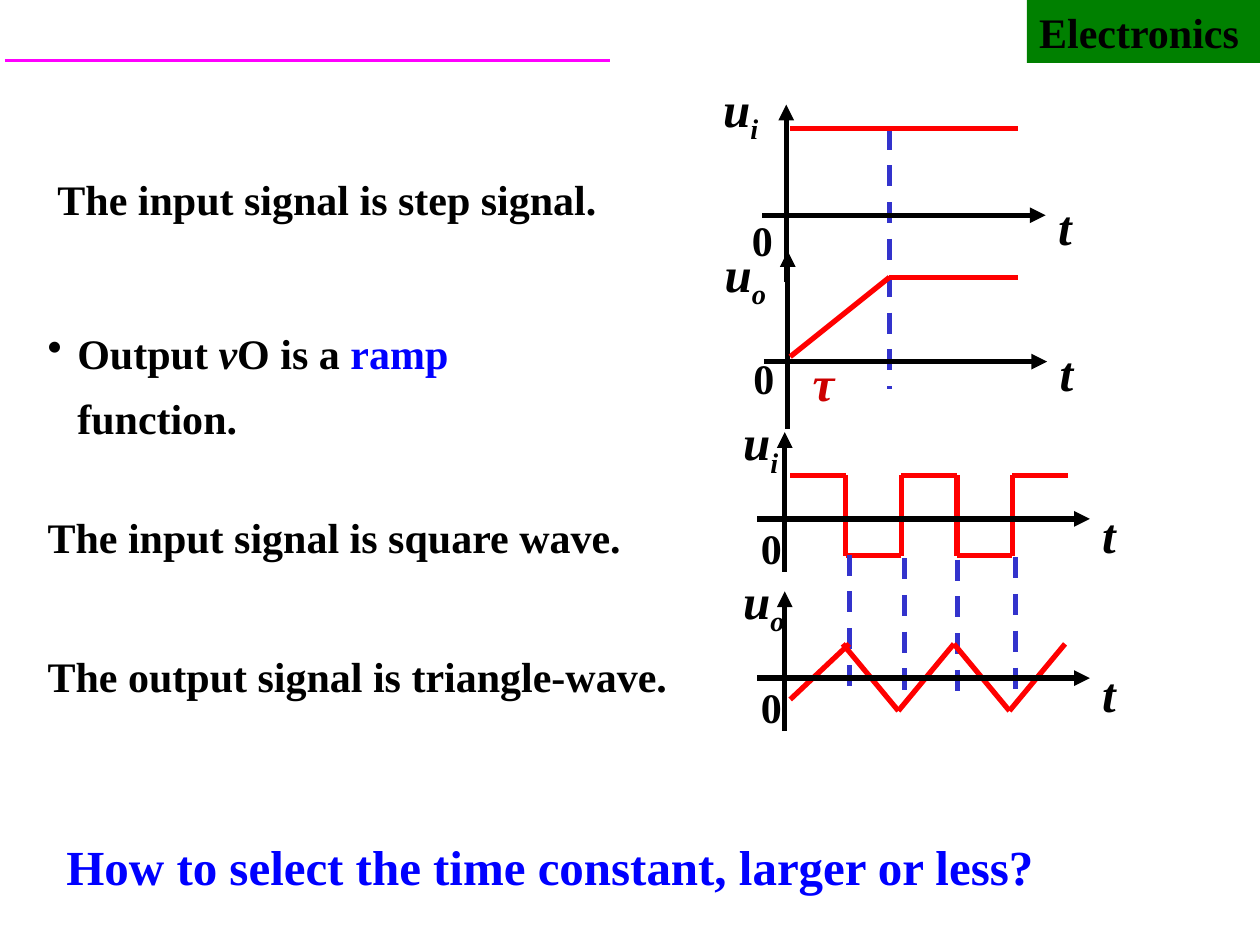
from lxml import etree
from pptx import Presentation
from pptx import util as u
from pptx.dml.color import RGBColor
from pptx.enum import dml, shapes, text
from pptx.oxml.ns import qn

BLACK = RGBColor(0x00, 0x00, 0x00)
GREEN = RGBColor(0x00, 0x80, 0x00)
MAGENTA = RGBColor(0xFF, 0x00, 0xFF)
RED = RGBColor(0xFF, 0x00, 0x00)
DARK_RED = RGBColor(0xCC, 0x00, 0x00)
BLUE = RGBColor(0x00, 0x00, 0xFF)
GUIDE_BLUE = RGBColor(0x33, 0x33, 0xCC)
FONT = "Times New Roman"

# Distances from the origin of a plot, in cm
STEP_AXES = dict(left=0.48, right=5.23, up=2.23, down=1.35,
                 t_rise=0.51, quantity_left=1.52, zero_left=0.94)
WAVE_AXES = dict(left=0.55, right=6.15, up=1.75, down=1.07,
                 t_rise=0.41, quantity_left=1.09, zero_left=0.73)


def add_span(para, words, size=24, color=BLACK, italic=False, subscript=False):
    span = para.add_run()
    span.text = words
    span.font.name = FONT
    span.font.size = u.Pt(size)
    span.font.bold = True
    span.font.italic = italic
    span.font.color.rgb = color
    if subscript:
        span.font._element.set("baseline", "-25000")


def add_text(parent, left, top, width, height, words, **style):
    """Add a text box and return its paragraph, so that spans can follow."""
    box = parent.add_textbox(u.Cm(left), u.Cm(top), u.Cm(width), u.Cm(height))
    box.text_frame.word_wrap = True
    para = box.text_frame.paragraphs[0]
    add_span(para, words, **style)
    return para


def add_line(parent, start, end, color, weight=3, dashed=False, arrow=False):
    line = parent.add_connector(shapes.MSO_CONNECTOR.STRAIGHT,
                                *(u.Cm(value) for value in (*start, *end)))
    line.line.color.rgb = color
    line.line.width = u.Pt(weight)
    if dashed:
        line.line.dash_style = dml.MSO_LINE.DASH
    if arrow:
        etree.SubElement(line.line._get_or_add_ln(), qn("a:tailEnd"), type="triangle")
    etree.SubElement(line._element.spPr, qn("a:effectLst"))


def add_trace(parent, points):
    for start, end in zip(points, points[1:]):
        add_line(parent, start, end, RED)


def add_axes(parent, x, y, layout, subscript, quantity_top, zero_top):
    """Draw both arrows through the origin (x, y) and label them u, t and 0."""
    right = x + layout["right"]
    add_line(parent, (x, y + layout["down"]), (x, y - layout["up"]), BLACK, arrow=True)
    add_line(parent, (x - layout["left"], y), (right, y), BLACK, arrow=True)
    add_text(parent, right, y - layout["t_rise"], 0.94, 1.45, "t", size=28, italic=True)
    quantity = add_text(parent, x - layout["quantity_left"], quantity_top, 1.8, 1.6,
                        "u", size=28, italic=True)
    add_span(quantity, subscript, size=28, italic=True, subscript=True)
    add_text(parent, x - layout["zero_left"], zero_top, 0.94, 1.27, "0")


def add_step_plots(page):
    add_line(page.shapes, (17.93, 2.59), (17.93, 7.85), GUIDE_BLUE, dashed=True)
    step = page.shapes.add_group_shape().shapes
    add_axes(step, 15.85, 4.34, STEP_AXES, "i", 1.45, 4.19)
    add_trace(step, [(15.93, 2.59), (20.52, 2.59)])

    ramp = page.shapes.add_group_shape().shapes
    add_axes(ramp, 15.88, 7.29, STEP_AXES, "o", 4.78, 6.99)
    add_trace(ramp, [(15.93, 7.19), (17.93, 5.59), (20.52, 5.59)])
    add_text(ramp, 16.13, 6.99, 1.8, 1.45, "τ", size=28, color=DARK_RED, italic=True)


def add_wave_plots(page):
    start, half_period = 15.93, 1.12
    high, low = 9.58, 11.2
    square_points = []
    for half in range(5):
        level = low if half % 2 else high
        left = start + half * half_period
        square_points += [(left, level), (left + half_period, level)]
    square = page.shapes.add_group_shape().shapes
    add_trace(square, square_points)
    add_axes(square, 15.82, 10.46, WAVE_AXES, "i", 8.18, 10.41)

    triangle = page.shapes.add_group_shape().shapes
    for x, top, bottom in ((17.12, 11.18, 14), (18.24, 11.25, 13.94),
                           (19.3, 11.28, 13.97), (20.47, 11.23, 14)):
        add_line(triangle, (x, top), (x, bottom), GUIDE_BLUE, dashed=True)
    peak, trough, first_peak = 12.98, 14.33, 16.99
    add_trace(triangle, [(start, 14.1), (17.12, peak)])
    add_trace(triangle, [(first_peak + half * half_period, trough if half % 2 else peak)
                         for half in range(5)])
    add_axes(triangle, 15.82, 13.67, WAVE_AXES, "o", 11.38, 13.61)


def add_course_tag(page):
    tag = page.shapes.add_shape(shapes.MSO_SHAPE.RECTANGLE,
                                u.Cm(20.7), 0, u.Cm(4.7), u.Cm(1.27))
    tag.shadow.inherit = False
    tag.fill.solid()
    tag.fill.fore_color.rgb = GREEN
    tag.line.fill.background()
    tag.text_frame.vertical_anchor = text.MSO_ANCHOR.TOP
    para = tag.text_frame.paragraphs[0]
    para.alignment = text.PP_ALIGN.LEFT
    add_span(para, "Electronics")


def add_ramp_bullet(page):
    para = add_text(page.shapes, 0.71, 6.17, 11.71, 1.57, "Output ")
    add_span(para, "v", italic=True)
    add_span(para, "O is a ")
    add_span(para, "ramp", color=BLUE)
    add_span(para, " function.")
    para.line_spacing = 1.3
    properties = para._p.get_or_add_pPr()
    indent = u.Cm(0.6)
    properties.set("marL", str(indent))
    properties.set("indent", str(-indent))
    etree.SubElement(properties, qn("a:buChar"), char="•")


def main():
    deck = Presentation()
    deck.slide_width, deck.slide_height = u.Cm(25.4), u.Cm(19.05)
    page = deck.slides.add_slide(deck.slide_layouts[6])
    add_course_tag(page)
    add_step_plots(page)
    add_wave_plots(page)
    add_text(page.shapes, 0.91, 3.38, 12.4, 1.27, "The input signal is step signal.")
    add_text(page.shapes, 0.71, 10.19, 12.4, 1.27, "The input signal is square wave.")
    add_text(page.shapes, 0.71, 12.98, 13.4, 1.27, "The output signal is triangle-wave.")
    add_text(page.shapes, 1.09, 16.74, 20.6, 1.45,
             "How to select the time constant, larger or less?", size=28, color=BLUE)
    add_ramp_bullet(page)
    add_line(page.shapes, (0.1, 1.22), (12.29, 1.22), MAGENTA, weight=2.25)
    deck.save("out.pptx")


if __name__ == "__main__":
    main()
